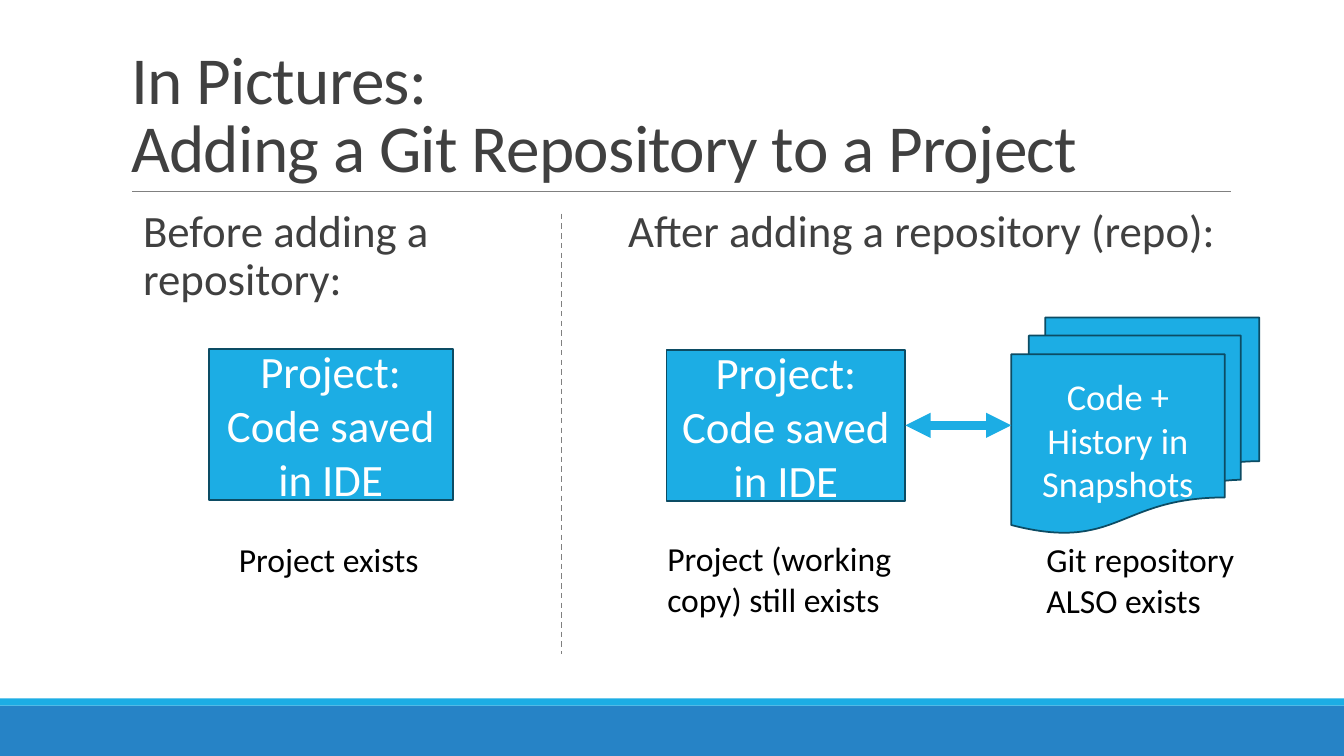
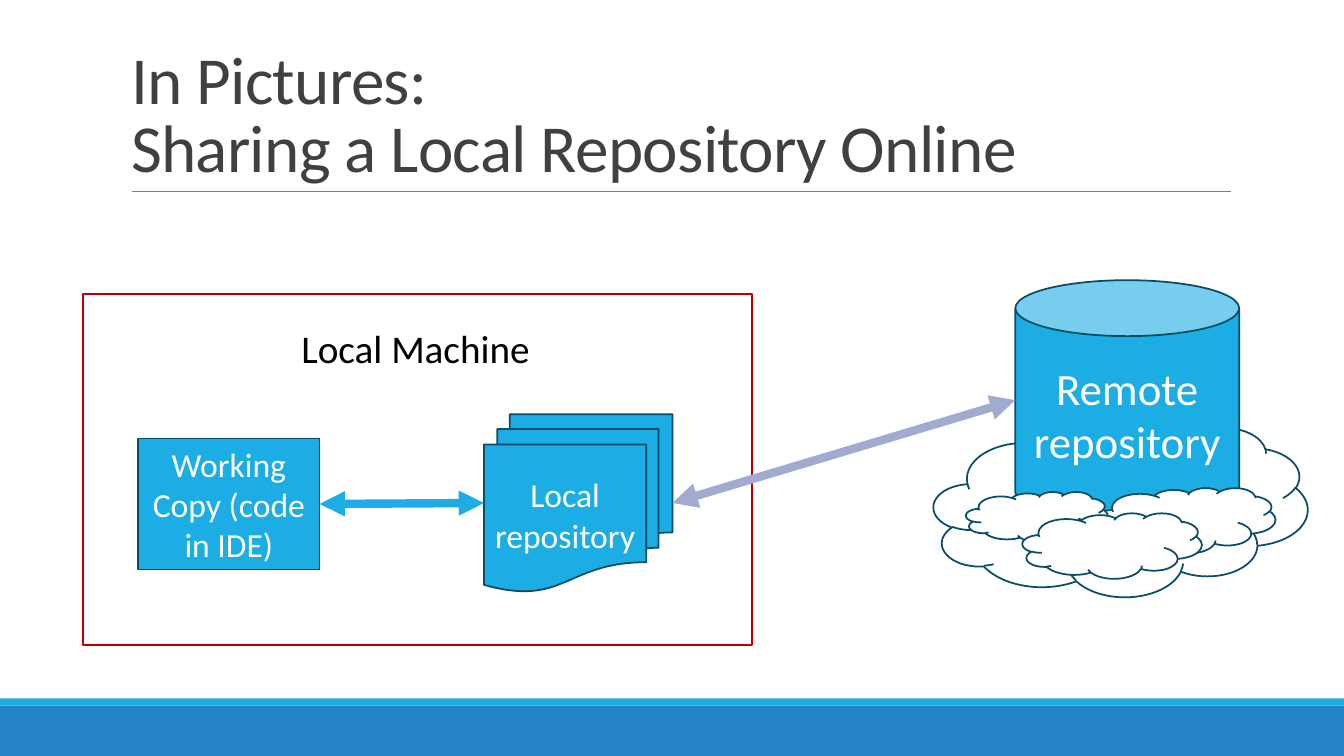
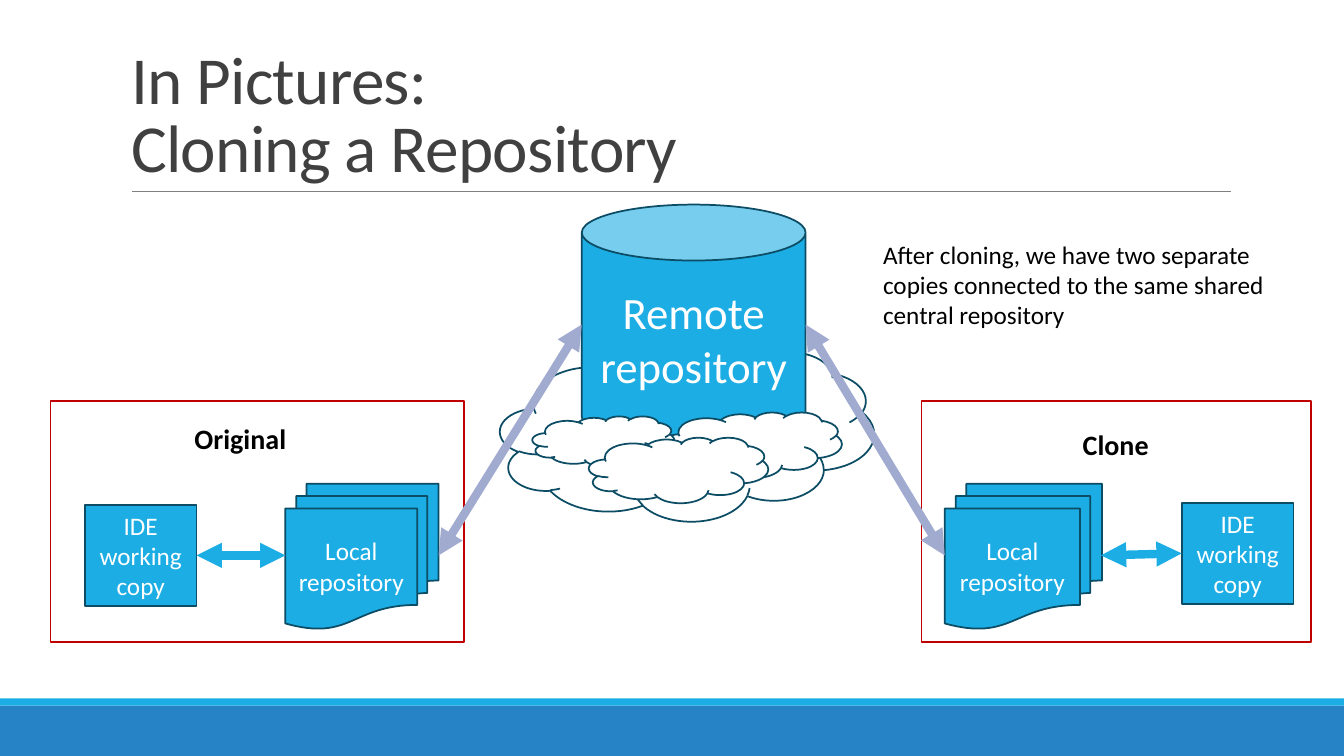
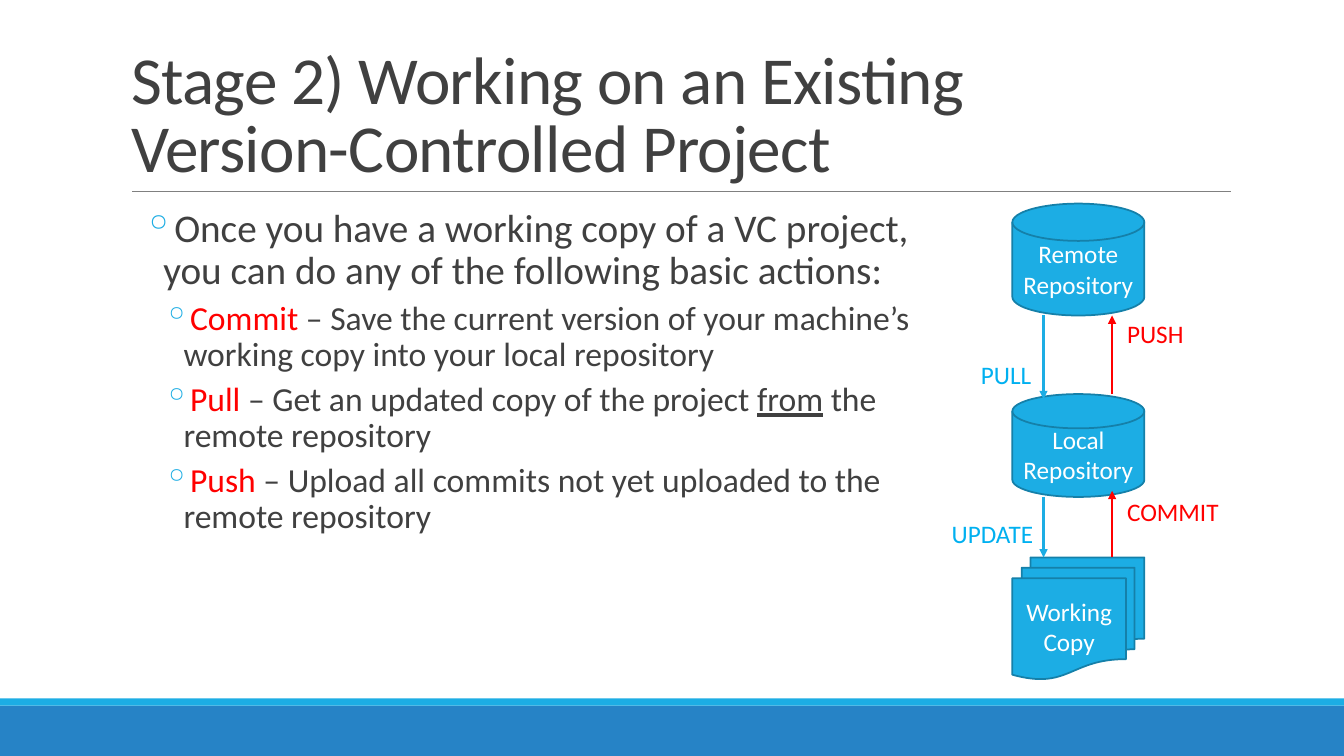
from lxml import etree
from pptx import Presentation
from pptx import util as u
from pptx.dml.color import RGBColor
from pptx.enum import dml, shapes, text
from pptx.oxml.ns import qn

SCALE = 9144
FONT = "Calibri"
C = dict(blue="1CADE4", band="2683C6", edge="0C4C64", disk="1580A9", ink="404040",
         gray="808080", lilac="A1ABD0", frame="C00000", red="FF0000", sky="00B0F0",
         white="FFFFFF", black="000000")
G = shapes.MSO_SHAPE
RECT, DOCS, CAN, DISK, CLOUD = (G.RECTANGLE, G.FLOWCHART_MULTIDOCUMENT, G.CAN,
                                G.FLOWCHART_MAGNETIC_DISK, G.CLOUD)
CENTER = text.PP_ALIGN.CENTER
MIDDLE, BOTTOM = text.MSO_ANCHOR.MIDDLE, text.MSO_ANCHOR.BOTTOM

TITLES = [
    "In Pictures:\nAdding a Git Repository to a Project",
    "In Pictures:\nSharing a Local Repository Online",
    "In Pictures:\nCloning a Repository",
    "Stage 2) Working on an Existing\nVersion-Controlled Project",
]
BANDS = [((0, 700, 1333, 50), "band"), ((0, 693, 1333, 7), "blue")]
TITLE_AT = (120, 31, 1100, 159)
RULE = (131, 190, 1221, 190)

HEADINGS = [
    ((120, 202, 454, 440), "Before adding a repository:"),
    ((601, 202, 619, 440), "After adding a repository (repo):"),
]
PROJECT = "Project: Code saved in IDE"
PROJECT_BOXES = [
    (RECT, (207, 346, 242, 150), PROJECT, 32),
    (RECT, (661, 347, 237, 150), PROJECT, 32),
    (DOCS, (1003, 315, 246, 214), "Code + History in Snapshots", 26),
]
CAPTIONS = [
    ((652, 529, 251, 91), "Project (working copy) still exists"),
    ((1028, 530, 212, 91), "Git repository ALSO exists"),
    ((227, 530, 201, 50), "Project exists"),
]

LOCAL_BOXES = [
    (RECT, (137, 435, 180, 130), "Working Copy (code in IDE)", 24),
    (DOCS, (480, 411, 187, 176), "Local repository", 24),
]

PUFFS = [(80, 206, 178, 65), (-49, 210, 141, 50), (7, 231, 178, 65)]

MACHINES = [
    dict(frame=(50, 398, 410, 239), name="Original", name_at=(183, 413, 112, 44),
         ide=(84, 501, 111, 100), docs=(283, 480, 152, 144),
         sync=(195, 551, 283, 551), share=(435, 551, 577, 322)),
    dict(frame=(914, 398, 386, 239), name="Clone", name_at=(1064, 419, 86, 44),
         ide=(1172, 499, 111, 100), docs=(937, 480, 156, 144),
         sync=(1172, 549, 1092, 551), share=(937, 551, 799, 322)),
]
CLONE_NOTE = ("After cloning, we have two separate copies connected to the same "
              "shared central repository")

RED = dict(color="red")
ACTIONS = [
    (28, 42, ["Once you have a working copy of a VC project, you can do any of the "
              "following basic actions:"]),
    (24, 62, [("Commit", RED), " – Save the current version of your machine’s working "
              "copy into your local repository"]),
    (24, 62, [("Pull", RED), " – Get an updated copy of the project ",
              ("from", dict(underline=True)), " the remote repository"]),
    (24, 62, [("Push", RED), " – Upload all commits not yet uploaded to the remote "
              "repository"]),
]
STAGES = [
    (DISK, (1004, 202, 131, 111), "Remote Repository", 18),
    (DISK, (1004, 391, 131, 102), "Local Repository", 18),
    (DOCS, (1004, 553, 131, 121), "Working Copy", 18),
]
FLOWS = [
    ((1103, 391, 1103, 313), "red", "PUSH", (1108, 311, 77, 40), "red"),
    ((1035, 313, 1035, 396), "blue", "PULL", (963, 352, 71, 40), "sky"),
    ((1103, 553, 1103, 487), "red", "COMMIT", (1108, 487, 112, 40), "red"),
    ((1035, 493, 1035, 553), "blue", "UPDATE", (934, 509, 102, 40), "sky"),
]


def emu(values):
    return [u.Emu(v * SCALE) for v in values]


def rgb(name):
    return RGBColor.from_string(C[name])


def write(p, runs, size=18, color="black", bold=False, underline=False, align=None,
          leading=None, before=None, after=None, indent=0, bullet=None, spc=None):
    p.alignment = align
    if leading:
        p.line_spacing = leading
    if before is not None:
        p.space_before, p.space_after = u.Pt(before), u.Pt(after)
    if indent:
        pPr = p._p.get_or_add_pPr()
        pPr.set("marL", str(indent * SCALE))
        pPr.set("indent", str(-20 * SCALE if bullet else 0))
        if bullet:
            clr = etree.SubElement(pPr, qn("a:buClr"))
            etree.SubElement(clr, qn("a:srgbClr"), val=C["blue"])
            etree.SubElement(pPr, qn("a:buChar"), char=bullet)
    for run in [runs] if isinstance(runs, str) else runs:
        words, own = (run, {}) if isinstance(run, str) else run
        for i, line in enumerate(words.split("\n")):
            if i:
                p.add_line_break()
            r = p.add_run()
            r.text = line
            f = r.font
            f.name, f.size, f.bold = FONT, u.Pt(size), bold
            f.underline = own.get("underline", underline)
            f.color.rgb = rgb(own.get("color", color))
            if spc:
                r._r.get_or_add_rPr().set("spc", str(spc))


def add_box(s, kind, at, words=None, size=18, fill="blue", line="edge"):
    sp = s.shapes.add_shape(kind, *emu(at))
    sp.shadow.inherit = False
    if fill:
        sp.fill.solid()
        sp.fill.fore_color.rgb = rgb(fill)
    else:
        sp.fill.background()
    if line:
        sp.line.color.rgb = rgb(line)
        sp.line.width = u.Pt(1.25)
    else:
        sp.line.fill.background()
    if words:
        tf = sp.text_frame
        tf.word_wrap, tf.vertical_anchor = True, MIDDLE
        write(tf.paragraphs[0], words, size=size, color="white", align=CENTER)
    return sp


def add_text(s, at, words, wrap=True, **fmt):
    tf = s.shapes.add_textbox(*emu(at)).text_frame
    tf.word_wrap = wrap
    write(tf.paragraphs[0], words, **fmt)
    return tf


def add_body(s, at, paragraphs, bullet=None):
    tf = s.shapes.add_textbox(*emu(at)).text_frame
    tf.word_wrap = True
    tf.margin_left = tf.margin_right = 0
    for i, (size, indent, runs) in enumerate(paragraphs):
        p = tf.add_paragraph() if i else tf.paragraphs[0]
        write(p, runs, size=size, color="ink", leading=0.9, before=2, after=4,
              indent=indent, bullet=bullet)


def add_line(s, ends, color="blue", width=6, head=True, tail=True, dash=None):
    ln = s.shapes.add_connector(shapes.MSO_CONNECTOR.STRAIGHT, *emu(ends))
    ln.line.color.rgb = rgb(color)
    ln.line.width = u.Pt(width)
    if dash:
        ln.line.dash_style = dash
    for tag, wanted in (("a:headEnd", head), ("a:tailEnd", tail)):
        if wanted:
            etree.SubElement(ln.line._get_or_add_ln(), qn(tag), type="triangle")
    etree.SubElement(ln.element.spPr, qn("a:effectLst"))
    return ln


def add_remote(s, x, y):
    add_box(s, CLOUD, (x - 81, y + 146, 371, 168), fill="white")
    add_box(s, CAN, (x, y, 222, 238), "Remote repository", 32)
    for dx, dy, w, h in PUFFS:
        add_box(s, CLOUD, (x + dx, y + dy, w, h), fill="white")


def style_layout(layout, s):
    parts = [add_box(s, RECT, at, fill=fill, line=None) for at, fill in BANDS]
    parts.append(add_line(s, RULE, "gray", 0.5, head=False, tail=False))
    for i, part in enumerate(parts):
        layout.shapes.element.insert(2 + i, part.element)
    title = next(ph for ph in layout.placeholders if ph.placeholder_format.idx == 0)
    title.left, title.top, title.width, title.height = emu(TITLE_AT)


def set_title(s, words):
    title = s.shapes.title
    title.left, title.top, title.width, title.height = emu(TITLE_AT)
    tf = title.text_frame
    tf.auto_size, tf.vertical_anchor = text.MSO_AUTO_SIZE.NONE, BOTTOM
    write(tf.paragraphs[0], words, size=48, color="ink", align=text.PP_ALIGN.LEFT,
          leading=0.85, spc=-50)


def draw_adding(s):
    for at, words in HEADINGS:
        add_body(s, at, [(32, 22, words)])
    for part in PROJECT_BOXES:
        add_box(s, *part)
    for at, words in CAPTIONS:
        add_text(s, at, words, size=24)
    add_line(s, (898, 422, 1003, 422))
    add_line(s, (557, 212, 557, 649), "gray", 1, head=False, tail=False,
             dash=dml.MSO_LINE.DASH)


def draw_sharing(s):
    for part in LOCAL_BOXES:
        add_box(s, *part)
    add_line(s, (317, 500, 480, 499))
    add_box(s, RECT, (82, 292, 664, 348), fill=None, line="frame")
    add_text(s, (289, 317, 249, 57), "Local Machine", wrap=False, size=28)
    add_remote(s, 1007, 278)
    add_line(s, (667, 499, 1007, 397), "lilac")


def draw_cloning(s):
    add_remote(s, 577, 203)
    for m in MACHINES:
        add_box(s, RECT, m["ide"], "IDE working copy", 18)
        add_box(s, DOCS, m["docs"], "Local repository", 18)
        add_line(s, m["sync"])
        add_box(s, RECT, m["frame"], fill=None, line="frame")
        add_text(s, m["name_at"], m["name"], wrap=False, size=20, bold=True)
        add_line(s, m["share"], "lilac")
    add_text(s, (866, 232, 428, 101), CLONE_NOTE)


def draw_working(s):
    add_body(s, (120, 202, 809, 440), ACTIONS, bullet="◦")
    for part in STAGES:
        add_box(s, *part, line="disk")
    for ends, color, words, at, ink in FLOWS:
        add_line(s, ends, color, 1.5, head=False)
        add_text(s, at, words, wrap=False, color=ink)


def main():
    prs = Presentation()
    prs.slide_width, prs.slide_height = u.Inches(13.33), u.Inches(7.5)
    layout = prs.slide_layouts[5]
    draws = [draw_adding, draw_sharing, draw_cloning, draw_working]
    for i, (words, draw) in enumerate(zip(TITLES, draws)):
        s = prs.slides.add_slide(layout)
        if i == 0:
            style_layout(layout, s)
        set_title(s, words)
        draw(s)
    prs.save("out.pptx")


if __name__ == "__main__":
    main()
